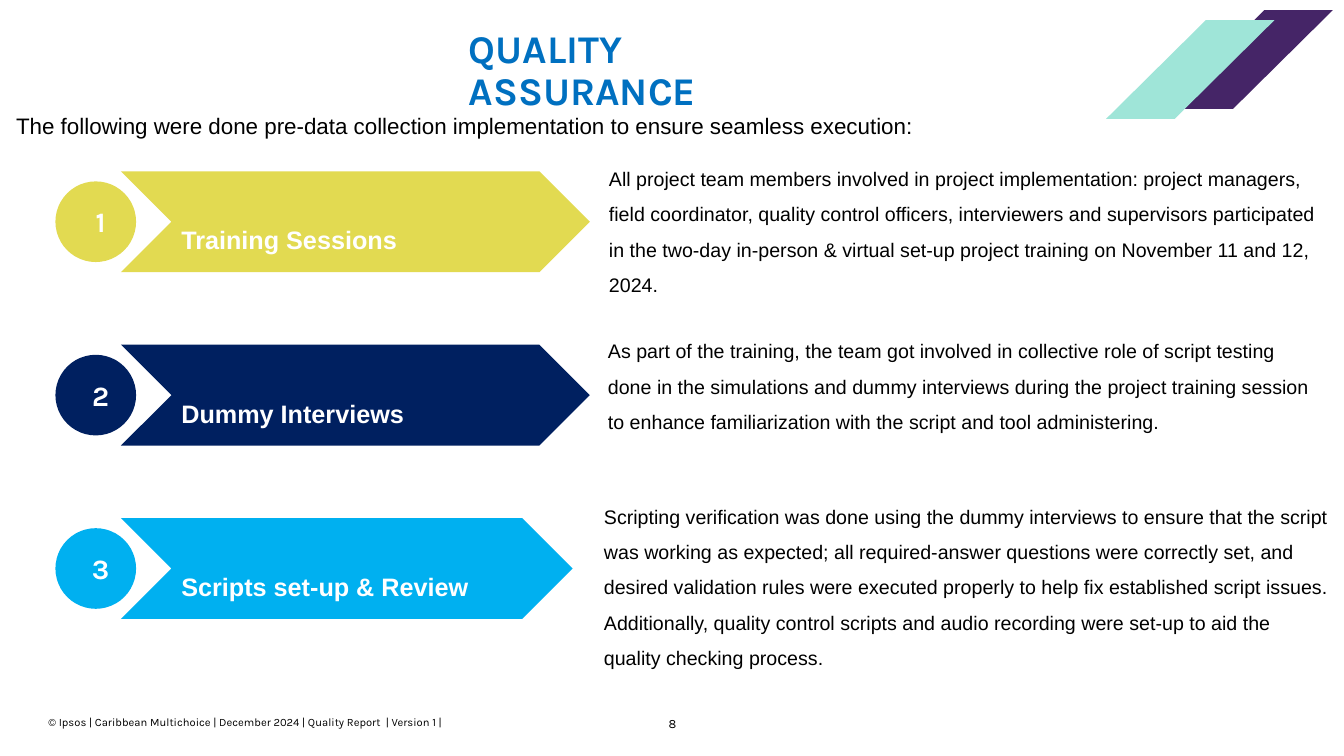
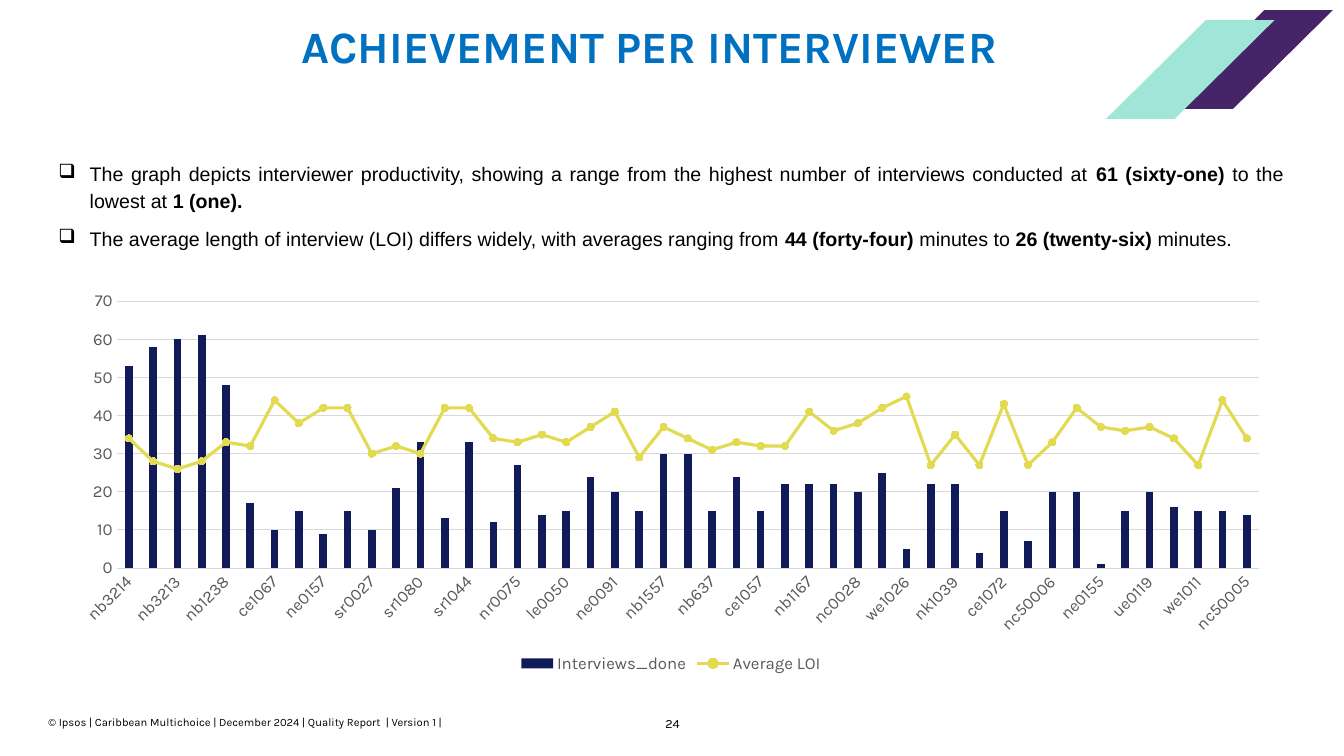
from dataclasses import dataclass

from pptx import Presentation
from pptx.chart.data import CategoryChartData
from pptx.dml.color import RGBColor
from pptx.enum.chart import XL_CHART_TYPE, XL_LEGEND_POSITION, XL_MARKER_STYLE, XL_TICK_MARK
from pptx.enum.shapes import MSO_SHAPE
from pptx.enum.text import MSO_ANCHOR, PP_ALIGN
from pptx.oxml import parse_xml
from pptx.oxml.ns import nsdecls, qn
from pptx.util import Inches, Pt

LEFT, CENTER, JUSTIFY = PP_ALIGN.LEFT, PP_ALIGN.CENTER, PP_ALIGN.JUSTIFY
TOP, MIDDLE, BOTTOM = MSO_ANCHOR.TOP, MSO_ANCHOR.MIDDLE, MSO_ANCHOR.BOTTOM
CHEVRON, CIRCLE = MSO_SHAPE.CHEVRON, MSO_SHAPE.FLOWCHART_CONNECTOR
COLUMNS = XL_CHART_TYPE.COLUMN_CLUSTERED
LEGEND_BOTTOM = XL_LEGEND_POSITION.BOTTOM
ROUND_MARKER = XL_MARKER_STYLE.CIRCLE
NO_TICK = XL_TICK_MARK.NONE


@dataclass(frozen=True)
class Theme:
    black: str = "000000"
    white: str = "FFFFFF"
    title_blue: str = "0070C0"
    purple: str = "452567"
    mint: str = "9FE5D8"
    yellow: str = "E2DA51"
    navy: str = "002060"
    sky: str = "00B0F0"
    column_navy: str = "121B5A"
    axis_gray: str = "595959"
    grid_gray: str = "D9D9D9"
    body_font: str = "Arial"
    display_font: str = "Karla"
    footer_size: int = 8
    page_size: int = 9
    chart_size: int = 12
    body_size: int = 14
    intro_size: int = 16
    label_size: int = 18
    number_size: int = 20
    long_title_size: int = 32
    short_title_size: int = 28


THEME = Theme()
FOOTER = "© Ipsos | Caribbean Multichoice | December 2024 | Quality Report  | Version 1 |"


@dataclass(frozen=True)
class Step:
    label: str
    color: str
    arrow_width: float
    text_at: tuple
    paragraphs: tuple


STEPS = [
    Step("Training Sessions", THEME.yellow, 4.65, (6.04, 1.54, 7.2, 1.37), (
        "All project team members involved in project implementation: project managers, "
        "field coordinator, quality control officers, interviewers and supervisors "
        "participated in the two-day in-person & virtual set-up project training on "
        "November 11 and 12, 2024.",)),
    Step("Dummy Interviews", THEME.navy, 4.65, (6.03, 3.25, 7.1, 1.02), (
        "As part of the training, the team got involved in collective role of script "
        "testing done in the simulations and dummy interviews during the project training "
        "session to enhance familiarization with the script and tool administering.",)),
    Step("Scripts set-up & Review", THEME.sky, 4.48, (5.99, 4.89, 7.2, 1.8), (
        "Scripting verification was done using the dummy interviews to ensure that the "
        "script was working as expected; all required-answer questions were correctly set, "
        "and desired validation rules were executed properly to help fix established "
        "script issues.",
        "Additionally, quality control scripts and audio recording were set-up to aid the "
        "quality checking process.")),
]

FINDINGS = [
    [("The graph depicts interviewer productivity, showing a range from the highest number "
      "of interviews conducted at ", False), ("61 (sixty-one)", True),
     (" to the lowest at ", False), ("1 (one).", True)],
    [("The average length of interview (LOI) differs widely, with averages ranging from ",
      False), ("44 (forty-four)", True), (" minutes to ", False),
     ("26 (twenty-six)", True), (" minutes.", False)],
]

INTERVIEWERS = (
    "nb3214 nb0570 nb3213 nb1924 nb1238 nb2093 ce1067 ce1062 ne0157 ce1064 sr0027 sr1047 "
    "sr1080 we0095 sr1044 we1058 nr0075 nb1776 le0050 nr0074 ne0091 nb1524 nb1557 cr0061 "
    "nb637 sr1010 ce1057 nk0108 nb1167 nk0136 nc0028 nb1843 we1026 we0091 nk1039 we0110 "
    "ce1072 we0149 nc50006 nc0064 ne0155 ce1030 ue0119 we1054 we1011 nb1681 nc50005").split()
INTERVIEWS_DONE = [
    53, 58, 60, 61, 48, 17, 10, 15, 9, 15, 10, 21, 33, 13, 33, 12, 27, 14, 15, 24, 20, 15, 30,
    30, 15, 24, 15, 22, 22, 22, 20, 25, 5, 22, 22, 4, 15, 7, 20, 20, 1, 15, 20, 16, 15, 15, 14]
AVERAGE_LOI = [
    34, 28, 26, 28, 33, 32, 44, 38, 42, 42, 30, 32, 30, 42, 42, 34, 33, 35, 33, 37, 41, 29, 37,
    34, 31, 33, 32, 32, 41, 36, 38, 42, 45, 27, 35, 27, 43, 27, 33, 42, 37, 36, 37, 34, 27, 44,
    34]


def rgb(value):
    return RGBColor.from_string(value)


def style_font(font, size, name, color, bold=False):
    font.size = Pt(size)
    font.name = name
    font.color.rgb = rgb(color)
    font.bold = bold


def set_frame(frame, anchor=TOP, insets=(0, 0, 0, 0)):
    frame.word_wrap = True
    frame.vertical_anchor = anchor
    (frame.margin_left, frame.margin_top,
     frame.margin_right, frame.margin_bottom) = map(Inches, insets)


def add_bullet(paragraph):
    properties = paragraph._p.get_or_add_pPr()
    properties.set("marL", str(Inches(0.31)))
    properties.set("indent", str(-Inches(0.31)))
    properties.append(parse_xml(f'<a:buChar {nsdecls("a")} char="❑"/>'))


def add_text(slide, at, paragraphs, size, name=THEME.body_font, color=THEME.black,
             bold=False, align=LEFT, spacing=1.0, gap=0, anchor=TOP, bulleted=False):
    frame = slide.shapes.add_textbox(*map(Inches, at)).text_frame
    set_frame(frame, anchor)
    for index, content in enumerate(paragraphs):
        paragraph = frame.add_paragraph() if index else frame.paragraphs[0]
        paragraph.alignment = align
        paragraph.line_spacing = spacing
        paragraph.space_after = Pt(gap)
        if bulleted:
            add_bullet(paragraph)
        if isinstance(content, str):
            paragraph.text = content
            style_font(paragraph.font, size, name, color, bold)
            continue
        style_font(paragraph.font, size, name, color)
        for words, strong in content:
            run = paragraph.add_run()
            run.text = words
            run.font.bold = strong


def paint(shape, color):
    shape.shadow.inherit = False
    shape.fill.solid()
    shape.fill.fore_color.rgb = rgb(color)
    shape.line.fill.background()


def add_labelled_shape(slide, kind, at, color, label, size, name, align, insets):
    shape = slide.shapes.add_shape(kind, *map(Inches, at))
    paint(shape, color)
    set_frame(shape.text_frame, MIDDLE, insets)
    paragraph = shape.text_frame.paragraphs[0]
    paragraph.text = label
    paragraph.alignment = align
    style_font(paragraph.font, size, name, THEME.white, True)


def add_stripe(slide, left, top, color):
    corners = [(left + dx, top + dy)
               for dx, dy in ((0.99, 0), (1.67, 0), (0.68, 0.98), (0, 0.98))]
    points = [(Inches(x), Inches(y)) for x, y in corners]
    outline = slide.shapes.build_freeform(*points[0])
    outline.add_line_segments(points[1:], close=True)
    paint(outline.convert_to_shape(), color)


def add_page(deck, title, title_at, title_size, title_align, number):
    slide = deck.slides.add_slide(deck.slide_layouts[6])
    add_text(slide, (0.48, 7.1, 5.11, 0.13), [FOOTER], THEME.footer_size,
             THEME.display_font, anchor=BOTTOM)
    add_text(slide, (6.4, 7.09, 0.54, 0.15), [str(number)], THEME.page_size,
             THEME.display_font, align=CENTER, spacing=1.1)
    add_text(slide, title_at, [title], title_size, THEME.display_font, THEME.title_blue,
             bold=True, align=title_align, spacing=0.9)
    add_stripe(slide, 11.55, 0.1, THEME.purple)
    add_stripe(slide, 10.97, 0.2, THEME.mint)
    return slide


def add_step(slide, number, step):
    top = 1.7 + (number - 1) * 1.72
    add_labelled_shape(slide, CHEVRON, (1.2, top, step.arrow_width, 1), step.color,
                       step.label, THEME.label_size, THEME.body_font, LEFT,
                       (0.1, 0.36, 0.1, 0))
    add_labelled_shape(slide, CIRCLE, (0.55, top + 0.1, 0.8, 0.8), step.color,
                       str(number), THEME.number_size, THEME.display_font, CENTER,
                       (0.1, 0, 0, 0))
    add_text(slide, step.text_at, step.paragraphs, THEME.body_size, spacing=1.5)


def split_off_line(chart):
    columns = chart.plots[0]
    loi = columns.series[1]._element
    for column_only in loi.findall(qn("c:invertIfNegative")):
        loi.remove(column_only)
    axis_ids = "".join(f'<c:axId val="{axis.get("val")}"/>'
                       for axis in columns._element.findall(qn("c:axId")))
    line_plot = parse_xml(
        f'<c:lineChart {nsdecls("c")}><c:grouping val="standard"/><c:varyColors val="0"/>'
        f'<c:marker val="1"/>{axis_ids}</c:lineChart>')
    line_plot.insert(2, loi)
    columns._element.addnext(line_plot)
    return chart.plots[1].series[0]


def style_axis(axis):
    axis.major_tick_mark = axis.minor_tick_mark = NO_TICK
    style_font(axis.tick_labels.font, THEME.chart_size, THEME.display_font, THEME.axis_gray)


def style_rule(line):
    line.color.rgb = rgb(THEME.grid_gray)
    line.width = Pt(0.75)


def add_productivity_chart(slide):
    data = CategoryChartData()
    data.categories = INTERVIEWERS
    data.add_series("Interviews_done", INTERVIEWS_DONE)
    data.add_series("Average LOI", AVERAGE_LOI)
    at = map(Inches, (0.58, 2.81, 12.15, 3.91))
    chart = slide.shapes.add_chart(COLUMNS, *at, data).chart
    chart.has_title = False
    style_font(chart.font, THEME.chart_size, THEME.display_font, THEME.axis_gray)

    columns = chart.plots[0]
    columns.vary_by_categories = False
    columns.gap_width = 219
    columns.overlap = -27
    column_fill = columns.series[0].format.fill
    column_fill.solid()
    column_fill.fore_color.rgb = rgb(THEME.column_navy)

    loi = split_off_line(chart)
    loi.smooth = False
    loi.format.line.color.rgb = rgb(THEME.yellow)
    loi.format.line.width = Pt(2.25)
    loi.marker.style = ROUND_MARKER
    loi.marker.size = 5
    loi.marker.format.fill.solid()
    loi.marker.format.fill.fore_color.rgb = rgb(THEME.yellow)
    loi.marker.format.line.color.rgb = rgb(THEME.yellow)

    names, counts = chart.category_axis, chart.value_axis
    style_axis(names)
    style_rule(names.format.line)
    for label_body in names._element.iter(qn("a:bodyPr")):
        label_body.set("rot", "-2700000")
    style_axis(counts)
    counts.minimum_scale, counts.maximum_scale, counts.major_unit = 0, 70, 10
    counts.format.line.fill.background()
    style_rule(counts.major_gridlines.format.line)

    chart.has_legend = True
    chart.legend.position = LEGEND_BOTTOM
    chart.legend.include_in_layout = False
    style_font(chart.legend.font, THEME.chart_size, THEME.display_font, THEME.axis_gray)


def main():
    deck = Presentation()
    deck.slide_width, deck.slide_height = Inches(13.33), Inches(7.5)

    quality = add_page(deck, "QUALITY ASSURANCE", (4.65, 0.29, 3.6, 0.5),
                       THEME.short_title_size, LEFT, 8)
    add_text(quality, (0.16, 0.98, 9.2, 0.4),
             ["The following were done pre-data collection implementation to ensure "
              "seamless execution:"], THEME.intro_size, spacing=1.5)
    for number, step in enumerate(STEPS, 1):
        add_step(quality, number, step)

    achievement = add_page(deck, "ACHIEVEMENT PER INTERVIEWER", (2.5, 0.25, 7.89, 0.45),
                           THEME.long_title_size, CENTER, 24)
    add_productivity_chart(achievement)
    add_text(achievement, (0.58, 1.57, 12.15, 0.9), FINDINGS, THEME.body_size,
             align=JUSTIFY, spacing=1.15, gap=8, bulleted=True)
    deck.save("out.pptx")


if __name__ == "__main__":
    main()
